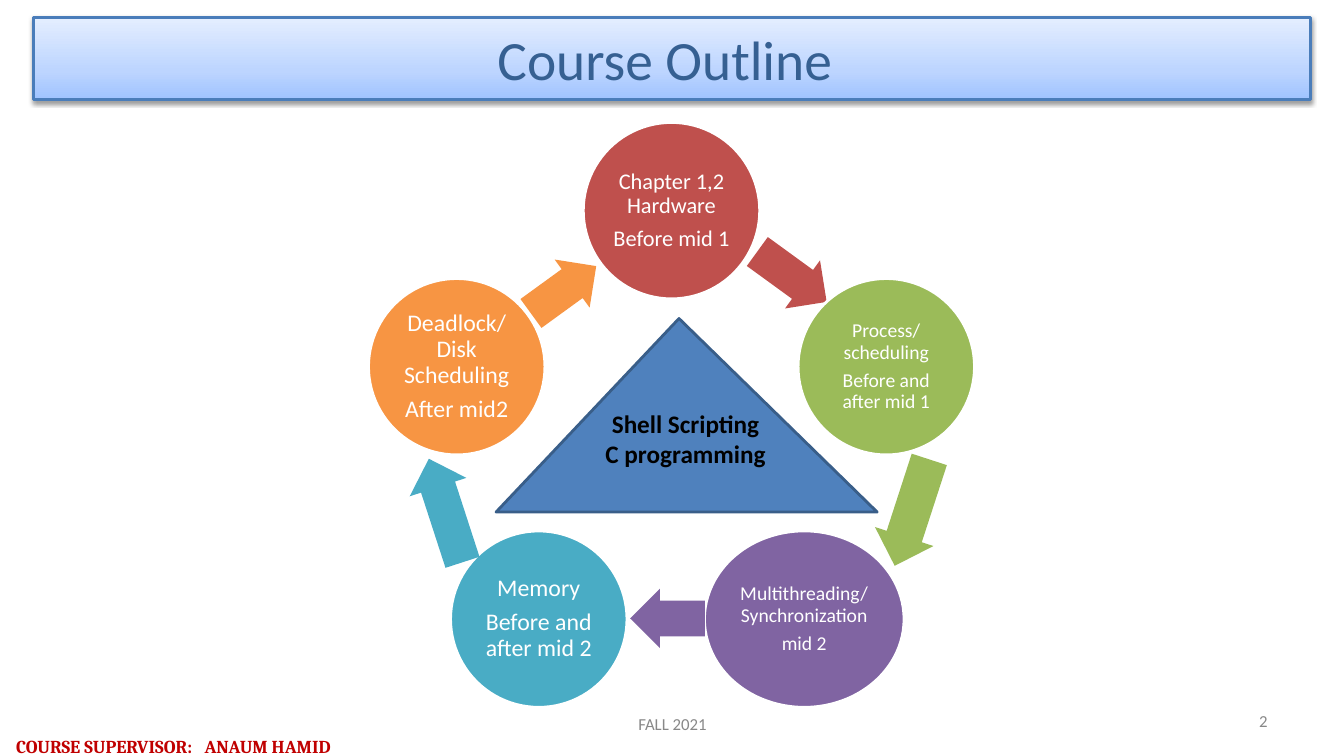
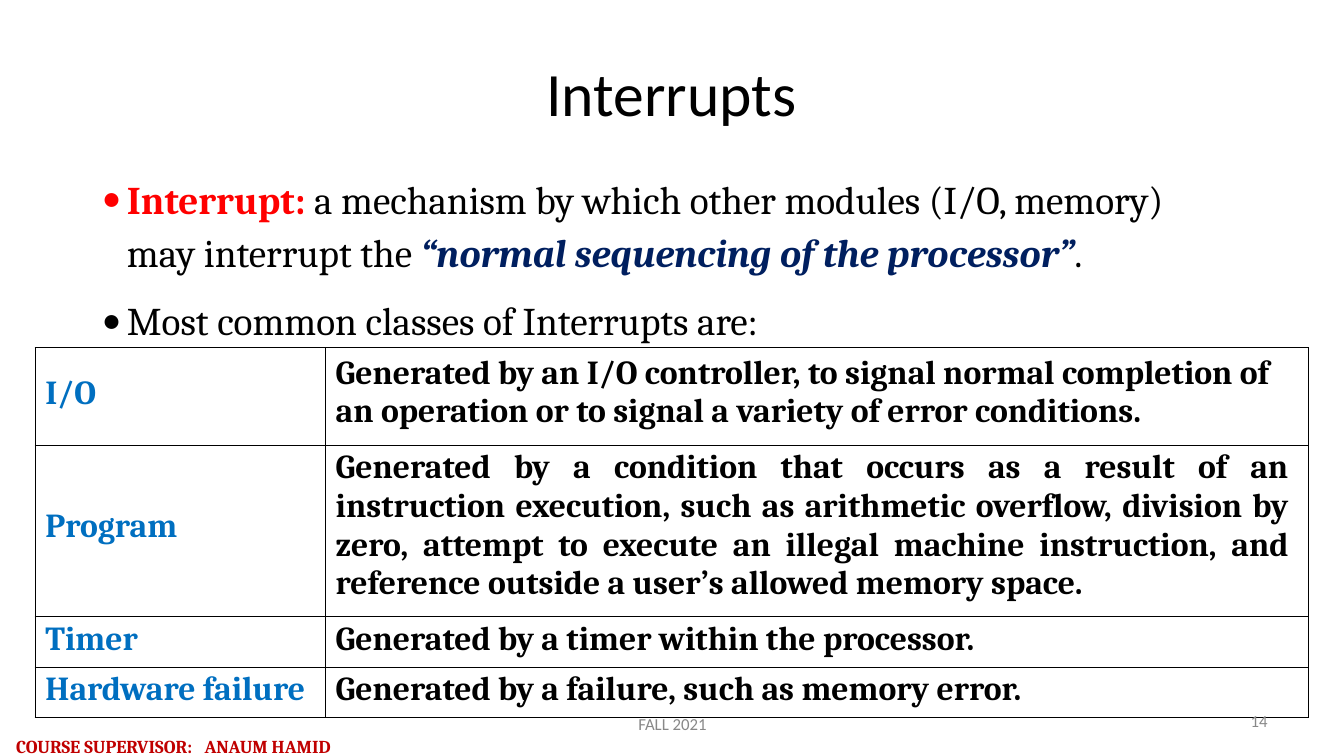
from copy import deepcopy
from math import cos, radians, sin

from pptx import Presentation
from pptx.dml.color import RGBColor
from pptx.enum.shapes import MSO_SHAPE
from pptx.enum.text import MSO_ANCHOR, PP_ALIGN
from pptx.oxml import parse_xml
from pptx.oxml.ns import nsdecls, qn
from pptx.util import Pt

PX = 9144  # EMU in one px, 100 px to the inch
WIDE, HIGH = 1333, 750
SANS, SERIF = "Calibri", "Cambria"

RECT, OVAL = MSO_SHAPE.RECTANGLE, MSO_SHAPE.OVAL
ARROW, TRI = MSO_SHAPE.RIGHT_ARROW, MSO_SHAPE.ISOSCELES_TRIANGLE
LEFT, MID, RIGHT, FULL = (PP_ALIGN.LEFT, PP_ALIGN.CENTER,
                          PP_ALIGN.RIGHT, PP_ALIGN.JUSTIFY)
TOP, CENTER = MSO_ANCHOR.TOP, MSO_ANCHOR.MIDDLE

BLACK = RGBColor(0x00, 0x00, 0x00)
WHITE = RGBColor(0xFF, 0xFF, 0xFF)
GREY = RGBColor(0x88, 0x88, 0x88)
RED = RGBColor(0xFF, 0x00, 0x00)
DARK_RED = RGBColor(0xC0, 0x00, 0x00)
NAVY = RGBColor(0x00, 0x1F, 0x5F)
SKY = RGBColor(0x00, 0x6F, 0xC0)
TITLE = RGBColor(0x36, 0x60, 0x92)
BRICK = RGBColor(0xBF, 0x50, 0x4D)
GREEN = RGBColor(0x9B, 0xBB, 0x59)
PURPLE = RGBColor(0x80, 0x64, 0xA2)
TEAL = RGBColor(0x49, 0xAC, 0xC5)
ORANGE = RGBColor(0xF7, 0x95, 0x43)
BLUE = RGBColor(0x4F, 0x81, 0xBD)
EDGE = RGBColor(0x39, 0x5E, 0x89)
RIM = RGBColor(0x4A, 0x7D, 0xBA)
BAND = ((0, RGBColor(0x9F, 0xC3, 0xFF)),
        (0.35, RGBColor(0xBD, 0xD5, 0xFF)),
        (1, RGBColor(0xE4, 0xEE, 0xFF)))


def emu(*sizes):
    return [round(size * PX) for size in sizes]


def node(xml):
    """Parse one drawing element, declaring its namespace."""
    name, rest = xml[1:].split(" ", 1)
    return parse_xml(f"<{name} {nsdecls('a')} {rest}")


class Deck:
    def __init__(self):
        self.prs = Presentation()
        self.prs.slide_width, self.prs.slide_height = emu(WIDE, HIGH)
        self.slide = None

    def page(self):
        self.slide = self.prs.slides.add_slide(self.prs.slide_layouts[6])

    def frame(self, frame, pad=(10, 5, 10, 5), anchor=TOP):
        frame.word_wrap = True
        (frame.margin_left, frame.margin_top,
         frame.margin_right, frame.margin_bottom) = emu(*pad)
        frame.vertical_anchor = anchor
        return frame

    def para(self, frame, text, size, color=BLACK, face=SANS, bold=False,
             align=LEFT, line=None, before=0, bullet=None, tab=None):
        """Add a paragraph; text is a string or (text, color, bold, italic) runs."""
        last = frame.paragraphs[-1]
        part = frame.add_paragraph() if last.runs else last
        part.alignment = align
        part.space_before = Pt(before)
        if line:
            part.line_spacing = line
        props = part._p.get_or_add_pPr()
        if bullet:
            hang, back = emu(26, -25)
            props.set("marL", str(hang))
            props.set("indent", str(back))
            props.append(node(f'<a:buClr ><a:srgbClr val="{bullet}"/></a:buClr>'))
            props.append(node(f'<a:buFont typeface="{SANS}"/>'))
            props.append(node('<a:buChar char="•"/>'))
        if tab:
            props.append(node(f'<a:tabLst ><a:tab pos="{tab * PX}" algn="l"/></a:tabLst>'))
        font = part.font
        font.name, font.size = face, Pt(size)
        if isinstance(text, str):
            font.bold, font.color.rgb = bold, color
            part.add_run().text = text
            return
        for words, tint, heavy, slant in text:
            run = part.add_run()
            run.text = words
            run.font.color.rgb = tint
            run.font.bold, run.font.italic = heavy, slant

    def text(self, box, words, size, pad=(10, 5, 10, 5), anchor=TOP, **style):
        frame = self.slide.shapes.add_textbox(*emu(*box)).text_frame
        self.frame(frame, pad, anchor)
        for item in words:
            self.para(frame, item, size, **style)
        return frame

    def shape(self, kind, box, fill=None, line=None, width=2, turn=0, adj=()):
        item = self.slide.shapes.add_shape(kind, *emu(*box))
        item.shadow.inherit = False
        item.rotation = turn
        for i, value in enumerate(adj):
            item.adjustments[i] = value
        if fill is not None:
            item.fill.solid()
            item.fill.fore_color.rgb = fill
        if line is None:
            item.line.fill.background()
        else:
            item.line.color.rgb = line
            item.line.width = Pt(width)
        return item

    def band(self, box, title):
        """Draw a title on a shaded bar with a soft shadow."""
        bar = self.shape(RECT, box, line=RIM, width=2.25)
        bar.fill.gradient()
        bar.fill.gradient_angle = 90
        props = bar._element.spPr
        stops = next(props.iter(qn("a:gsLst")))
        stops.append(deepcopy(stops[0]))
        for stop, (place, color) in zip(bar.fill.gradient_stops, BAND):
            stop.position, stop.color.rgb = place, color
        props.find(qn("a:effectLst")).append(node(
            '<a:outerShdw blurRad="39370" dist="20320" dir="5400000" rotWithShape="0">'
            '<a:srgbClr val="000000"><a:alpha val="38000"/></a:srgbClr></a:outerShdw>'))
        frame = self.frame(bar.text_frame, (10, 5, 24, 5), CENTER)
        self.para(frame, title, 39.6, TITLE, align=MID)

    def disc(self, mid, size, color, lines, points):
        (x, y), (w, h) = mid, size
        disc = self.shape(OVAL, (x - w / 2, y - h / 2, w, h), color, WHITE)
        frame = self.frame(disc.text_frame, (2, 2, 2, 2), CENTER)
        for i, words in enumerate(lines):
            final = i == len(lines) - 1
            self.para(frame, words, points, WHITE, align=MID, line=0.9,
                      before=points * 0.35 if final else 0)

    def table(self, spot, cols, rows):
        """Draw rows of (height, label, label top, text, text top, align)."""
        box = (*spot, sum(cols), sum(row[0] for row in rows))
        grid = self.slide.shapes.add_table(len(rows), len(cols), *emu(*box)).table
        grid.first_row = grid.horz_banding = False
        for col, width in zip(grid.columns, emu(*cols)):
            col.width = width
        for r, (high, label, drop, words, gap, align) in enumerate(rows):
            grid.rows[r].height = emu(high)[0]
            self.cell(grid.cell(r, 0), label, (10, drop, 0, 0), SKY, LEFT)
            self.cell(grid.cell(r, 1), words, (10, gap, 20, 0), BLACK, align)

    def cell(self, cell, words, pad, color, align):
        cell.fill.background()
        (cell.margin_left, cell.margin_top,
         cell.margin_right, cell.margin_bottom) = emu(*pad)
        cell.vertical_anchor = TOP
        self.para(cell.text_frame, words, 24, color, SERIF, True, align)
        props = cell._tc.get_or_add_tcPr()
        for i, side in enumerate("LRTB"):
            props.insert(i, node(
                f'<a:ln{side} w="12700"><a:solidFill><a:srgbClr val="{BLACK}"/>'
                f'</a:solidFill></a:ln{side}>'))

    def foot(self, num):
        self.text((16, 725, 443, 22), ["COURSE SUPERVISOR:\tANAUM HAMID"], 13,
                  (0, 0, 0, 0), color=DARK_RED, face=SERIF, bold=True,
                  line=1.2, tab=187)
        self.text((456, 695, 422, 40), ["FALL 2021"], 12, anchor=CENTER,
                  color=GREY, align=MID, line=1.3)
        self.text((956, 695, 311, 40), [str(num)], 12, anchor=CENTER,
                  color=GREY, align=RIGHT)


def outline(deck):
    deck.page()
    deck.band((33, 17, 1267, 82), "Course Outline")
    hub_x, hub_y, reach = 666, 433, 224
    steps = (
        (BRICK, 175, 16, ("Chapter 1,2", "Hardware", "Before mid 1"),
         (743, 245, 85, 59)),
        (GREEN, 175, 14, ("Process/ scheduling", "Before and after mid 1"),
         (849, 478, 111, 61)),
        (PURPLE, 198, 14, ("Multithreading/ Synchronization", "mid 2"),
         (625, 584, 74, 59)),
        (TEAL, 175, 17, ("Memory", "Before and after mid 2"),
         (388, 477, 108, 59)),
        (ORANGE, 175, 17, ("Deadlock/ Disk Scheduling", "After mid2"),
         (519, 258, 80, 59)),
    )
    turn = 360 // len(steps)
    for i, (color, wide, points, lines, arrow) in enumerate(steps):
        angle = radians(i * turn)
        mid = hub_x + reach * sin(angle), hub_y - reach * cos(angle)
        deck.disc(mid, (wide, 175), color, lines, points)
        deck.shape(ARROW, arrow, color, turn=i * turn + turn / 2, adj=(0.6, 0.5))
    deck.shape(TRI, (492, 316, 378, 192), BLUE, EDGE, adj=(0.48,))
    deck.text((558, 400, 244, 71), ("Shell Scripting", "C programming"), 18,
              bold=True, align=MID)
    deck.foot(2)


def interrupts(deck):
    deck.page()
    deck.text((528, 53, 276, 76), ["Interrupts"], 44, (0, 1, 0, 0), CENTER, align=MID)
    lead = (
        ("Interrupt: ", RED, True, False),
        ("a mechanism by which other modules (I/O, memory) may interrupt the ",
         BLACK, False, False),
        ("“normal sequencing of the processor”", NAVY, True, True),
        (".", BLACK, False, False),
    )
    frame = deck.text((100, 166, 1100, 177), [lead], 28, (0, 1, 0, 0),
                      face=SERIF, line=1.14, bullet=RED)
    deck.para(frame, "Most common classes of Interrupts are:", 28, face=SERIF,
              before=14.7, bullet=BLACK)
    deck.table((35, 345), (288, 975), (
        (97, "I/O", 26,
         "Generated by an I/O controller, to signal normal completion of "
         "an operation or to signal a variety of error conditions.", 6, LEFT),
        (170, "Program", 61,
         "Generated by a condition that occurs as a result of an "
         "instruction execution, such as arithmetic overflow, division by "
         "zero, attempt to execute an illegal machine instruction, and "
         "reference outside a user’s allowed memory space.", 3, FULL),
        (50, "Timer", 3, "Generated by a timer within the processor.", 3, LEFT),
        (50, "Hardware failure", 3,
         "Generated by a failure, such as memory error.", 3, LEFT),
    ))
    deck.foot(14)


def main():
    deck = Deck()
    outline(deck)
    interrupts(deck)
    deck.prs.save("out.pptx")


if __name__ == "__main__":
    main()
